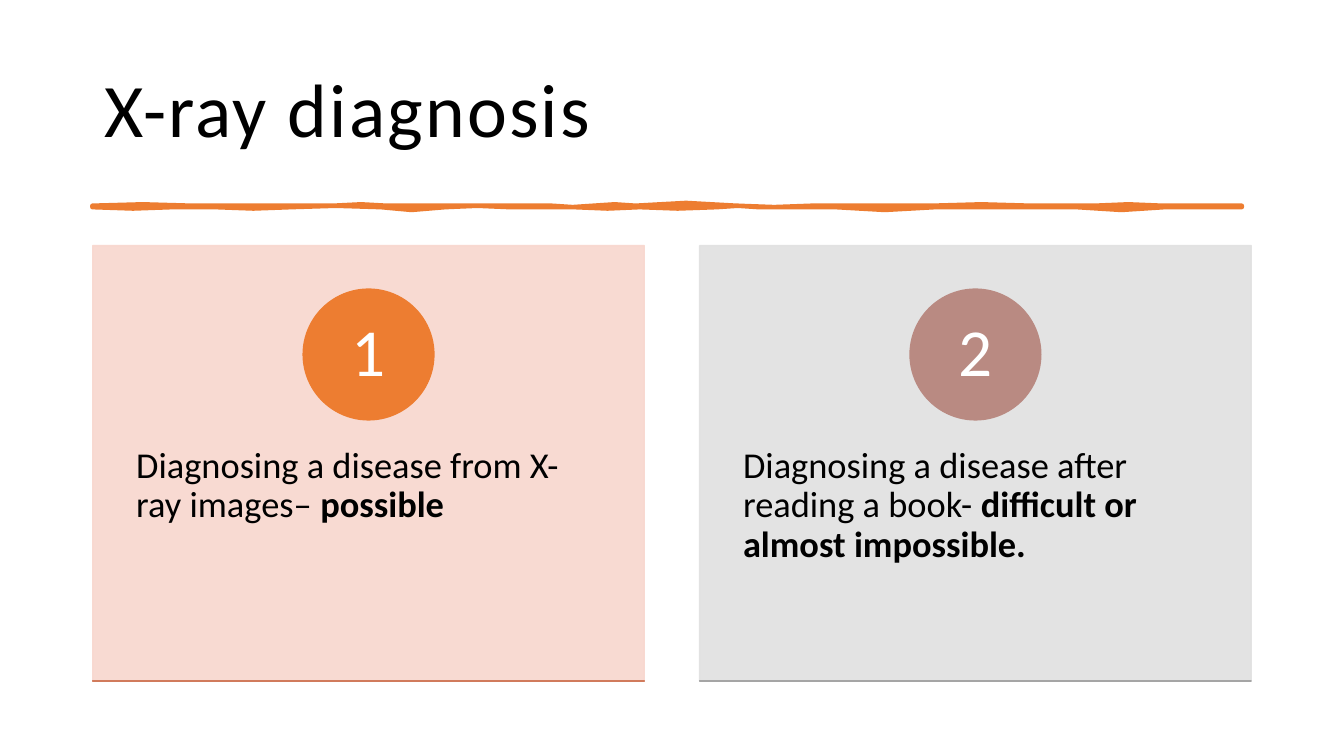
from lxml import etree
from pptx import Presentation
from pptx import util as u
from pptx.dml.color import RGBColor
from pptx.enum import shapes, text
from pptx.oxml import ns

THEME = {
    "font": "Calibri", "ink": "000000", "white": "FFFFFF", "accent": "ED7D31",
    "title_size": 54, "body_size": 26, "number_size": 48,
    "title_spacing": 160, "card_alpha": 90000,
}


def paint(shape, color, width=1):
    shape.shadow.inherit = False
    shape.fill.solid()
    shape.fill.fore_color.rgb = RGBColor.from_string(color)
    shape.line.color.rgb = RGBColor.from_string(color)
    shape.line.width = u.Pt(width)


def write(shape, runs, size, color, frame_format, align=text.PP_ALIGN.LEFT):
    frame = shape.text_frame
    for name, value in frame_format.items():
        setattr(frame, name, value)
    para = frame.paragraphs[0]
    para.alignment = align
    para.line_spacing = 0.9
    for words, bold in runs:
        span = para.add_run()
        span.text = words
        font_format = {"name": THEME["font"], "size": u.Pt(size), "bold": bold}
        for name, value in font_format.items():
            setattr(span.font, name, value)
        span.font.color.rgb = RGBColor.from_string(color)
    return para


deck = Presentation()
deck.slide_width, deck.slide_height = u.Pt(960), u.Pt(540)
page = deck.slides.add_slide(deck.slide_layouts[6])

# Title
title = page.shapes.add_textbox(u.Pt(66.24), u.Pt(28.8), u.Pt(828), u.Pt(104.4))
title_format = {"word_wrap": True, "vertical_anchor": text.MSO_ANCHOR.MIDDLE,
                "margin_left": u.Pt(8.6)}
para = write(title, [("X-ray diagnosis", False)], THEME["title_size"],
             THEME["ink"], title_format)
para.runs[0].font._element.set("spc", str(THEME["title_spacing"]))

# Hand-drawn rule: each stretch is (end x, rise or fall at its middle)
LEFT, RIGHT = 66.24, 887
top_edge = [
    (137, -0.5), (175.5, 0.3), (238.5, 0), (276.5, -0.3), (331, 0.3), (394.5, 0),
    (424, 0.8), (454.5, -0.3), (525.5, -1.3), (580.5, 1.6), (610.5, 0), (665.5, 0.5),
    (736.5, -1.1), (782.5, 0), (829.5, -0.5), (RIGHT, 0.5)]
bottom_edge = [
    (832.5, -0.8), (769, 1.3), (706.5, 0), (668, -0.5), (597, 1.1), (542, -0.5),
    (512, -1), (457, 0.8), (410.5, 0.3), (364.5, 0), (317.5, -1.3), (271.5, 1.6),
    (208, -1.6), (153.5, 0.3), (123, 0), (LEFT, 1)]
outline = []
for start, level, stretches in ((LEFT, 146.7, top_edge), (RIGHT, 148.4, bottom_edge)):
    outline.append((start, level))
    for end, bend in stretches:
        outline += [((start + end) / 2, level + bend), (end, level)]
        start = end
builder = page.shapes.build_freeform(*outline[0], scale=u.Pt(1))
builder.add_line_segments(outline[1:], close=True)
paint(builder.convert_to_shape(), THEME["accent"], 3.25)

# Numbered cards
cards = [
    ("1", "F8D7CE", THEME["accent"], "D17B5C",
     "Diagnosing a disease from X-ray images– ", "possible"),
    ("2", "E1E1E1", "B98A82", "A5A5A5",
     "Diagnosing a disease after reading a book- ", "difficult or almost impossible."),
]
CARD_TOP, CARD_WIDTH, CARD_HEIGHT, CARD_STEP = 175.4, 394, 311, 433.5
BADGE = 93.4
number_format = {"vertical_anchor": text.MSO_ANCHOR.MIDDLE, "word_wrap": True,
                 "margin_top": u.Pt(1), "margin_bottom": u.Pt(1)}
body_format = {"word_wrap": True}
for side, inset in (("left", 31), ("right", 31), ("top", 26), ("bottom", 26)):
    body_format["margin_" + side] = u.Pt(inset)

for index, (number, card_color, badge_color, edge_color, plain, strong) in enumerate(cards):
    left = LEFT + index * CARD_STEP

    card = page.shapes.add_shape(shapes.MSO_SHAPE.RECTANGLE, u.Pt(left), u.Pt(CARD_TOP),
                                 u.Pt(CARD_WIDTH), u.Pt(CARD_HEIGHT))
    paint(card, card_color)
    for color in list(card._element.spPr.iter(ns.qn("a:srgbClr"))):
        etree.SubElement(color, ns.qn("a:alpha")).set("val", str(THEME["card_alpha"]))

    body = page.shapes.add_textbox(u.Pt(left), u.Pt(293.4), u.Pt(CARD_WIDTH), u.Pt(186.5))
    write(body, [(plain, False), (strong, True)], THEME["body_size"], THEME["ink"],
          body_format)

    badge = page.shapes.add_shape(shapes.MSO_SHAPE.OVAL,
                                  u.Pt(left + (CARD_WIDTH - BADGE) / 2), u.Pt(206.5),
                                  u.Pt(BADGE), u.Pt(BADGE))
    paint(badge, badge_color)
    write(badge, [(number, False)], THEME["number_size"], THEME["white"],
          number_format, text.PP_ALIGN.CENTER)

    # Flat bar along the bottom of the card
    edge = page.shapes.add_shape(shapes.MSO_SHAPE.RECTANGLE, u.Pt(left),
                                 u.Pt(CARD_TOP + CARD_HEIGHT), u.Pt(CARD_WIDTH), u.Pt(0))
    paint(edge, edge_color)

deck.save("out.pptx")
